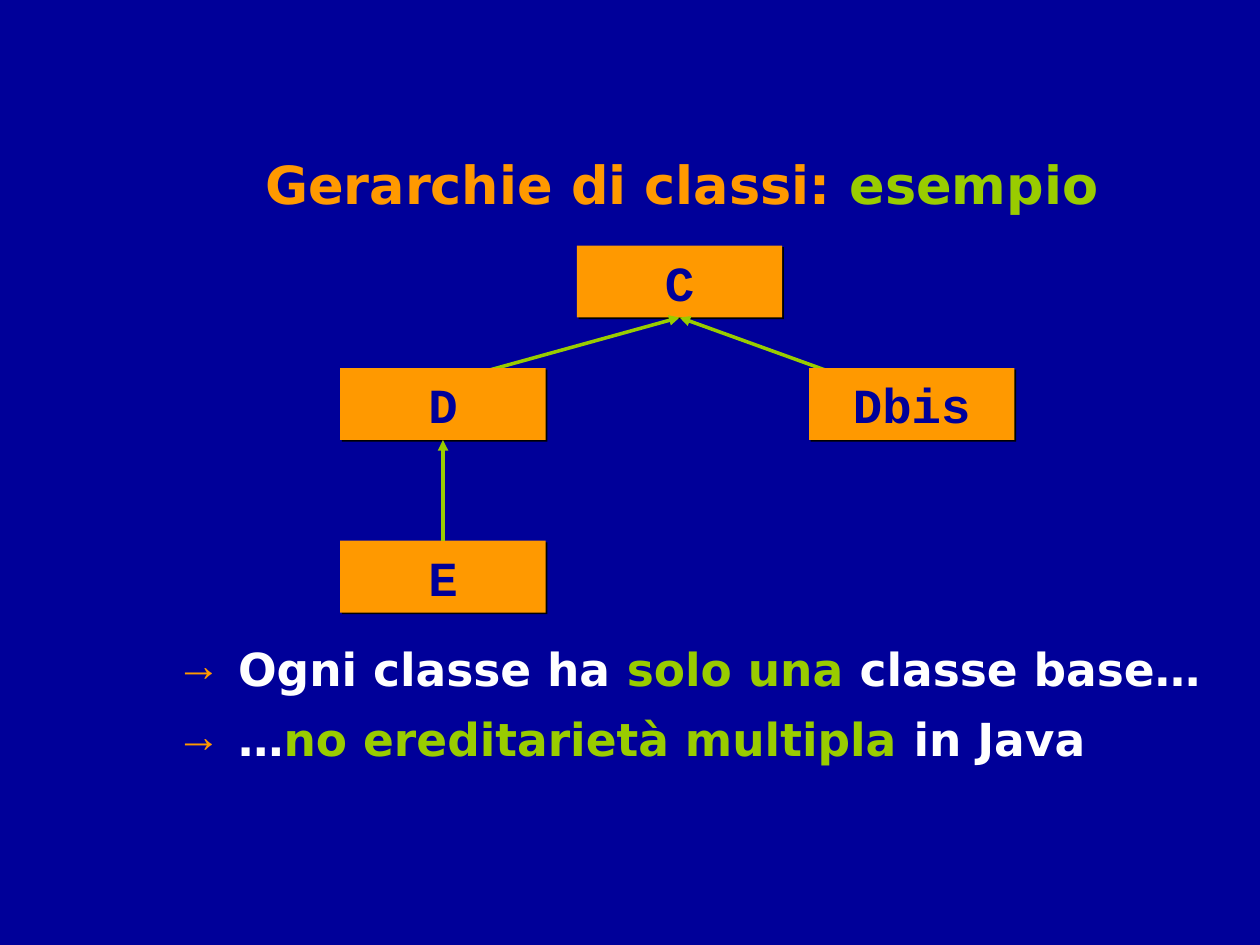
import pptx
import pptx.util
import pptx.dml.color
import pptx.enum.shapes
import pptx.enum.text
import lxml.etree
from pptx.util import Cm

NAVY, ORANGE, GREEN, WHITE = "000099", "FF9900", "99CC00", "FFFFFF"
SANS, MONO = "DejaVu Sans", "Courier New"
BOX_W, BOX_H = 4.14, 1.45
TOP, LEFT, BOTTOM, RIGHT = range(4)


def color(code):
    return pptx.dml.color.RGBColor.from_string(code)


def add_tag(parent, name, **attrs):
    """Append a DrawingML element to parent."""
    tag = pptx.oxml.ns.qn("a:" + name)
    return lxml.etree.SubElement(parent, tag, attrs)


def add_shade(effects):
    """Put a short black shadow into an effect list."""
    shade = add_tag(effects, "outerShdw", dist="17780", dir="2700000",
                    algn="ctr", rotWithShape="0")
    add_tag(shade, "srgbClr", val="000000")


def set_font(para, name, size):
    font = para.font
    font.name, font.size, font.bold = name, pptx.util.Pt(size), True


def add_bullet(para):
    props = para._p.get_or_add_pPr()
    props.set("marL", str(Cm(1.07)))
    props.set("indent", str(-Cm(1.07)))
    add_tag(add_tag(props, "buClr"), "srgbClr", val=ORANGE)
    add_tag(props, "buFont", typeface=MONO)
    add_tag(props, "buChar", char="→")


def add_text(slide, place, size, spacing, parts, bullet=False):
    """Add one line of shadowed text, given as (text, colour) parts."""
    frame = slide.shapes.add_textbox(*map(Cm, place)).text_frame
    frame.word_wrap = True
    para = frame.paragraphs[0]
    para.line_spacing = spacing
    if bullet:
        add_bullet(para)
    else:
        para.alignment = pptx.enum.text.PP_ALIGN.CENTER
    set_font(para, SANS, size)
    for text, code in parts:
        run = para.add_run()
        run.text = text
        run.font.color.rgb = color(code)
        add_shade(add_tag(run._r.get_or_add_rPr(), "effectLst"))


def add_box(slide, name, left, top):
    box = slide.shapes.add_shape(
        pptx.enum.shapes.MSO_SHAPE.RECTANGLE,
        Cm(left), Cm(top), Cm(BOX_W), Cm(BOX_H))
    box.fill.solid()
    box.fill.fore_color.rgb = color(ORANGE)
    box.line.fill.background()
    box.shadow.inherit = False
    add_shade(box._element.spPr.find(pptx.oxml.ns.qn("a:effectLst")))
    frame = box.text_frame
    frame.vertical_anchor = pptx.enum.text.MSO_ANCHOR.MIDDLE
    para = frame.paragraphs[0]
    para.text = name
    para.alignment = pptx.enum.text.PP_ALIGN.CENTER
    set_font(para, MONO, 28)
    para.font.color.rgb = color(NAVY)
    return box


def add_arrow(slide, base, start=(0, 0)):
    """Draw an arrow from a point to the bottom of the base class."""
    x, y = map(Cm, start)
    arrow = slide.shapes.add_connector(
        pptx.enum.shapes.MSO_CONNECTOR.STRAIGHT, x, y, x, y)
    arrow.end_connect(base, BOTTOM)
    arrow.line.color.rgb = color(GREEN)
    arrow.line.width = pptx.util.Pt(2)
    add_tag(arrow.line._get_or_add_ln(), "tailEnd", type="triangle")
    add_tag(arrow._element.spPr, "effectLst")
    return arrow


def add_tree(slide):
    root = add_box(slide, "C", 11.63, 4.95)
    # These two arrows start behind the boxes drawn after them.
    add_arrow(slide, root, (9.83, 7.47))
    add_arrow(slide, root, (17.58, 7.8))
    child = add_box(slide, "D", 6.86, 7.42)
    add_box(slide, "Dbis", 16.31, 7.42)
    leaf = add_box(slide, "E", 6.86, 10.9)
    add_arrow(slide, child).begin_connect(leaf, TOP)


def main():
    deck = pptx.Presentation()
    deck.slide_width, deck.slide_height = Cm(25.4), Cm(19.05)
    slide = deck.slides.add_slide(deck.slide_layouts[6])
    slide.background.fill.solid()
    slide.background.fill.fore_color.rgb = color(NAVY)

    add_text(slide, (4.22, 2.82, 19.05, 1.65), 30, 1.1,
             [("Gerarchie di classi: ", ORANGE), ("esempio", GREEN)])
    add_tree(slide)
    add_text(slide, (3.48, 12.88, 21.95, 1.3), 26, 0.95,
             [("Ogni classe ha ", WHITE), ("solo una", GREEN),
              (" classe base…", WHITE)], bullet=True)
    add_text(slide, (3.48, 14.3, 20.57, 1.3), 26, 0.95,
             [("…", WHITE), ("no ereditarietà multipla", GREEN),
              (" in Java", WHITE)], bullet=True)
    deck.save("out.pptx")


if __name__ == "__main__":
    main()
